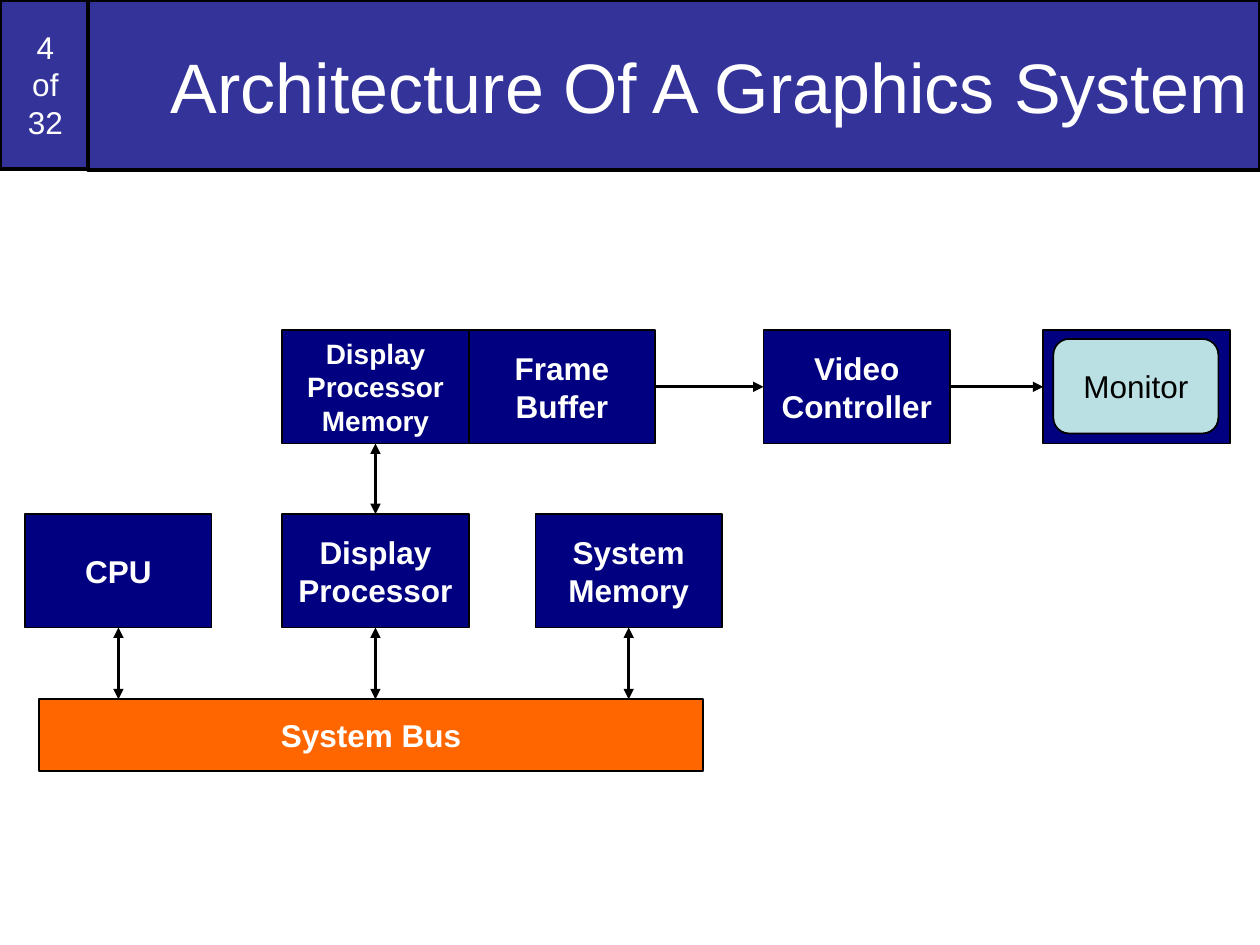
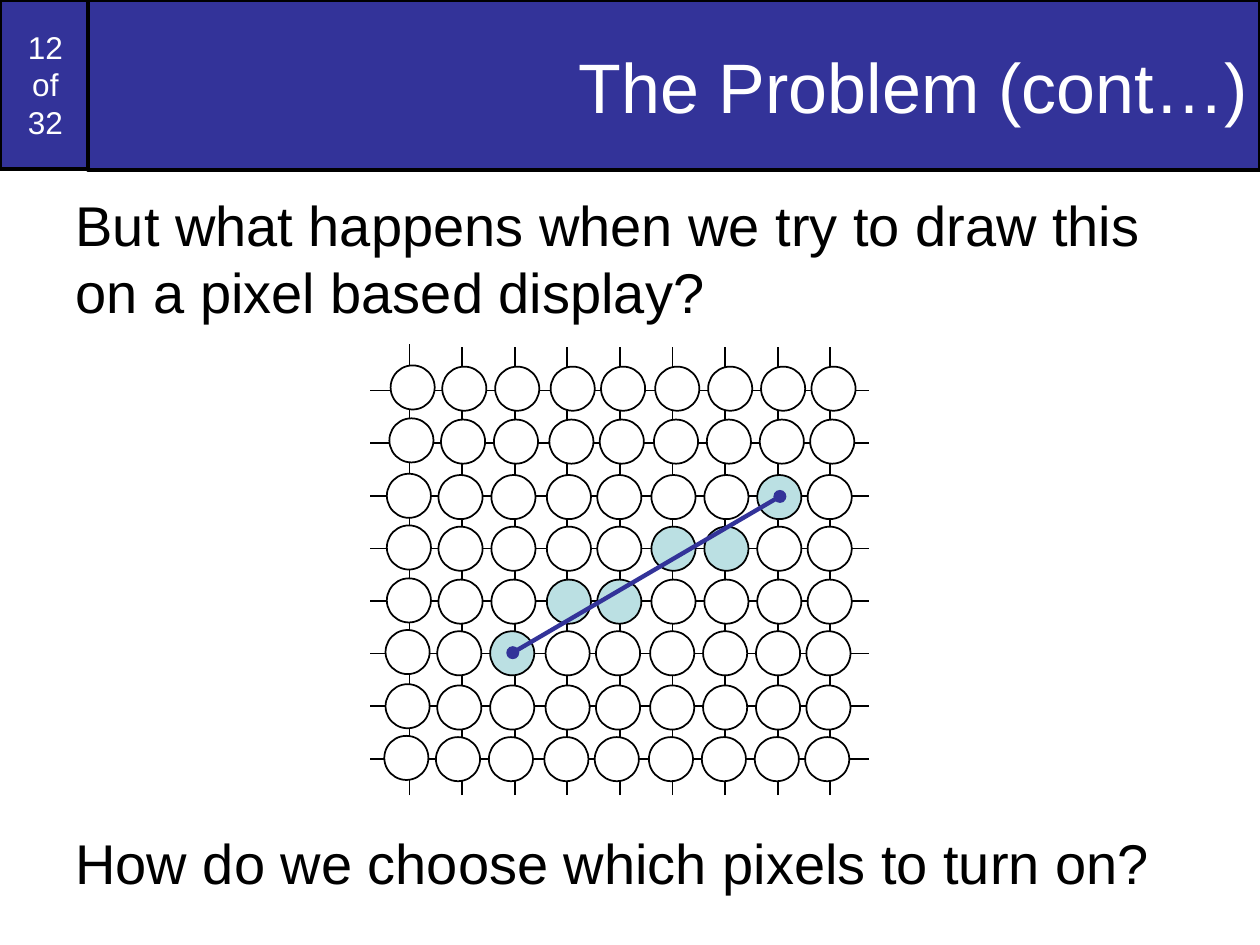
import lxml.etree
import pptx
import pptx.dml.color
import pptx.enum.shapes
import pptx.enum.text
import pptx.oxml.ns
import pptx.util

Inches = pptx.util.Inches
Pt = pptx.util.Pt
SHAPE = pptx.enum.shapes.MSO_SHAPE
STRAIGHT = pptx.enum.shapes.MSO_CONNECTOR.STRAIGHT
ALIGN = pptx.enum.text.PP_ALIGN
ANCHOR = pptx.enum.text.MSO_ANCHOR
colour = pptx.dml.color.RGBColor.from_string
qn = pptx.oxml.ns.qn

BAND = "333399"
NAVY = "000080"
ORANGE = "FF6600"
PALE = "BBE0E3"
WHITE = "FFFFFF"
BLACK = "000000"
FONT = "Arial"
TOP, LEFT, BOTTOM, RIGHT = range(4)


def format_box(box, fill=None, line_width=1, text="", size=18, ink=WHITE,
               bold=False, align=ALIGN.CENTER, anchor=ANCHOR.MIDDLE):
    if fill:
        box.fill.solid()
        box.fill.fore_color.rgb = colour(fill)
        box.line.color.rgb = colour(BLACK)
        box.line.width = Pt(line_width)
        box.shadow.inherit = False
    if text:
        frame = box.text_frame
        frame.text = text
        frame.word_wrap = True
        frame.auto_size = pptx.enum.text.MSO_AUTO_SIZE.NONE
        frame.vertical_anchor = anchor
        para = frame.paragraphs[0]
        para.alignment = align
        para.space_before = Pt(0)
        para.font.name = FONT
        para.font.size = Pt(size)
        para.font.bold = bold
        para.font.color.rgb = colour(ink)
    return box


def draw_line(page, start, end, ink=BLACK, width=1, head=None, tail=None):
    line = page.shapes.add_connector(STRAIGHT, *map(Inches, start + end))
    line.line.color.rgb = colour(ink)
    line.line.width = Pt(width)
    properties = line.element.spPr
    outline = properties.find(qn("a:ln"))
    for tag, kind in (("a:headEnd", head), ("a:tailEnd", tail)):
        if kind:
            lxml.etree.SubElement(outline, qn(tag), type=kind)
    lxml.etree.SubElement(properties, qn("a:effectLst"))
    return line


deck = pptx.Presentation()
deck.slide_width = Inches(10)
deck.slide_height = Inches(7.5)

pages = []
for layout, number, heading in ((5, 4, "Architecture Of A Graphics System"),
                                (1, 12, "The Problem (cont…)")):
    page = deck.slides.add_slide(deck.slide_layouts[layout])
    title = page.shapes.title
    title.left, title.top, title.width, title.height = map(Inches, (0.7, 0, 9.3, 1.35))
    format_box(title, BAND, 2, heading, 40, align=ALIGN.RIGHT)
    badge = page.shapes.add_shape(SHAPE.RECTANGLE, 0, 0, Inches(0.72), Inches(1.34))
    format_box(badge, BAND, 2, f"{number}\vof\v32")
    title.element.addprevious(badge.element)
    pages.append(page)

architecture, problem = pages

BLOCK_WIDTH, BLOCK_HEIGHT = 1.48, 0.9
UPPER, LOWER, BUS_TOP = 2.62, 4.08, 5.55
bus = architecture.shapes.add_shape(
    SHAPE.RECTANGLE, *map(Inches, (0.31, BUS_TOP, 5.27, 0.57)))
format_box(bus, ORANGE, text="System Bus", bold=True)

blocks = {}
for name, left, top, label, size in (
    ("cpu", 0.2, LOWER, "CPU", 18),
    ("processor", 2.24, LOWER, "Display Processor", 18),
    ("memory", 4.25, LOWER, "System Memory", 18),
    ("display memory", 2.24, UPPER, "Display Processor Memory", 16),
    ("frame buffer", 3.72, UPPER, "Frame Buffer", 18),
    ("controller", 6.06, UPPER, "Video Controller", 18),
    ("monitor", 8.28, UPPER, "", 18),
):
    block = architecture.shapes.add_shape(
        SHAPE.RECTANGLE, *map(Inches, (left, top, BLOCK_WIDTH, BLOCK_HEIGHT)))
    blocks[name] = format_box(block, NAVY, text=label, size=size, bold=True)

for name in ("cpu", "processor", "memory"):
    middle = blocks[name].left.inches + BLOCK_WIDTH / 2
    arrow = draw_line(architecture, (middle, LOWER + BLOCK_HEIGHT), (middle, BUS_TOP),
                      width=1.5, head="triangle", tail="triangle")
    arrow.begin_connect(blocks[name], BOTTOM)

for source, source_side, target, target_side, head in (
    ("display memory", BOTTOM, "processor", TOP, "triangle"),
    ("frame buffer", RIGHT, "controller", LEFT, None),
    ("controller", RIGHT, "monitor", LEFT, None),
):
    arrow = draw_line(architecture, (0, 0), (1, 1), width=1.5, head=head, tail="triangle")
    arrow.begin_connect(blocks[source], source_side)
    arrow.end_connect(blocks[target], target_side)

screen = architecture.shapes.add_shape(
    SHAPE.ROUNDED_RECTANGLE, *map(Inches, (8.36, 2.69, 1.31, 0.75)))
format_box(screen, PALE, text="Monitor", ink=BLACK)

question = problem.placeholders[1]
question.left, question.top, question.width, question.height = map(
    Inches, (0.5, 1.46, 9, 1.29))
question.text_frame.text = ""
format_box(question, text="But what happens when we try to draw this on a pixel based display?",
           size=32, ink=BLACK, align=ALIGN.LEFT, anchor=ANCHOR.TOP)
bullet = question.text_frame.paragraphs[0]._p.get_or_add_pPr()
bullet.set("marL", "0")
bullet.set("indent", "0")
bullet.insert_element_before(bullet.makeelement(qn("a:buNone")), "a:tabLst", "a:defRPr")

PITCH = 0.4175
DOT = 0.35
dot_lefts = (3.06, 3.47, 3.89, 4.33, 4.73, 5.16, 5.58, 6, 6.4)
dot_tops = (2.91, 3.33, 3.77, 4.18, 4.6, 5.01, 5.44, 5.85)
row_shifts = (0.04, 0.03, 0.01, 0.01, 0.01, 0, 0, -0.01)
lit_pixels = {(2, 7), (3, 5), (3, 6), (4, 3), (4, 4), (5, 2)}

for column in range(len(dot_lefts)):
    x = 3.25 + column * PITCH
    draw_line(problem, (x, 6.31), (x, 2.75 if column else 2.73))
for row in range(len(dot_tops)):
    y = 3.1 + row * PITCH
    draw_line(problem, (2.94, y), (6.9, y))

for row, (top, shift) in enumerate(zip(dot_tops, row_shifts)):
    for column, left in enumerate(dot_lefts):
        lift = 0 if column else 0.01
        pixel = problem.shapes.add_shape(
            SHAPE.OVAL, *map(Inches, (left + shift, top - lift, DOT, DOT)))
        format_box(pixel, PALE if (row, column) in lit_pixels else WHITE)

draw_line(problem, (4.07, 5.18), (6.19, 3.94), BAND, 2.5, "oval", "oval")

closing = problem.shapes.add_textbox(*map(Inches, (0.5, 6.53, 9, 0.76)))
format_box(closing, text="How do we choose which pixels to turn on?",
           size=32, ink=BLACK, align=ALIGN.LEFT, anchor=ANCHOR.TOP)

deck.save("out.pptx")
